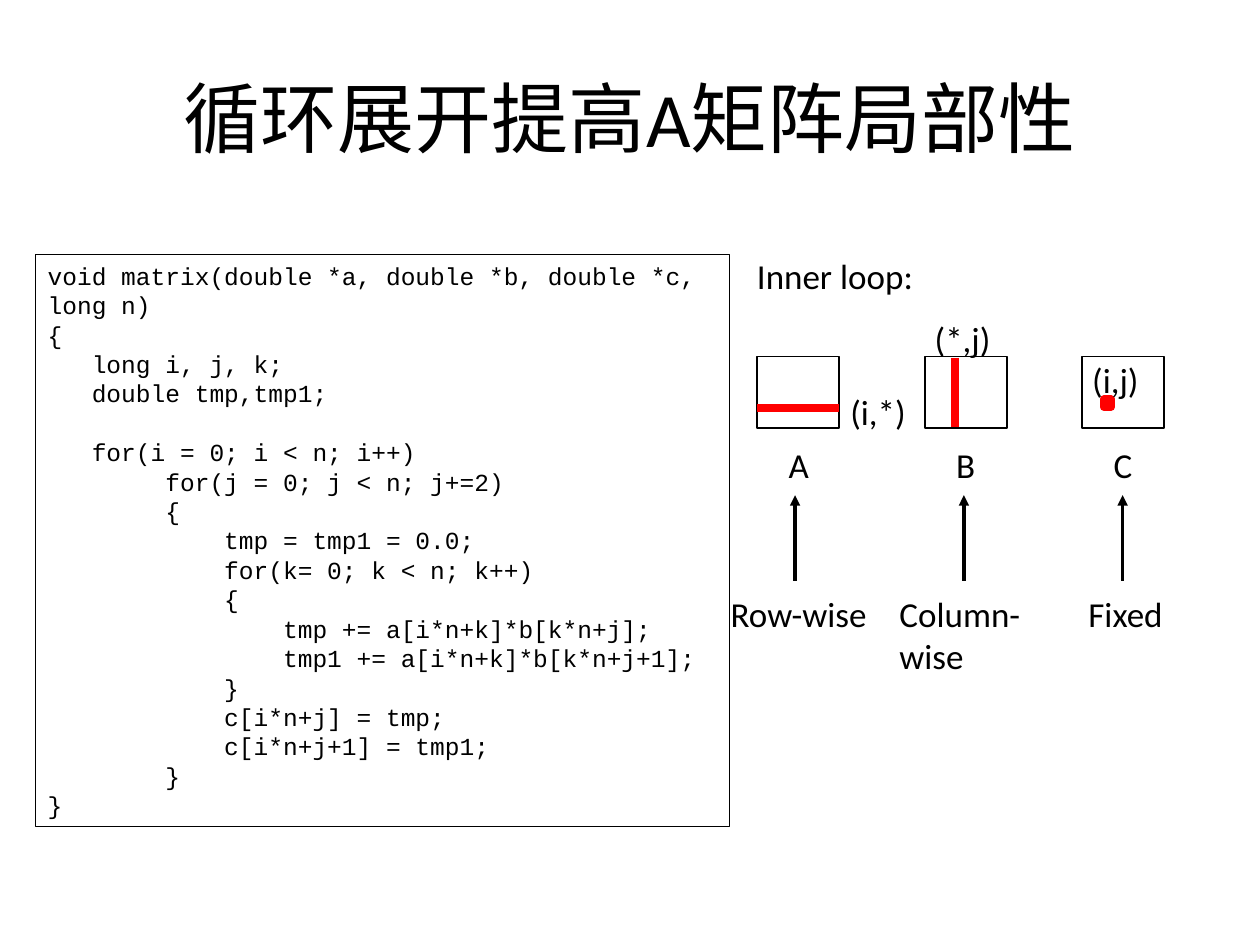
from dataclasses import dataclass

from lxml.etree import SubElement
from pptx import Presentation
from pptx.dml.color import RGBColor
from pptx.enum.shapes import MSO_CONNECTOR, MSO_SHAPE
from pptx.enum.text import MSO_ANCHOR, MSO_AUTO_SIZE, PP_ALIGN
from pptx.oxml.ns import qn
from pptx.util import Inches, Pt


@dataclass(frozen=True)
class Theme:
    black: RGBColor = RGBColor(0, 0, 0)
    white: RGBColor = RGBColor(255, 255, 255)
    red: RGBColor = RGBColor(255, 0, 0)
    body_font: str = "Calibri"
    code_font: str = "Courier New"
    title_size: int = 44
    label_size: int = 20
    code_size: int = 14


CODE = """\
void matrix(double *a, double *b, double *c, long n)
{
   long i, j, k;
   double tmp,tmp1;

   for(i = 0; i < n; i++)
        for(j = 0; j < n; j+=2)
        {
            tmp = tmp1 = 0.0;
            for(k= 0; k < n; k++)
            {
                tmp += a[i*n+k]*b[k*n+j];
                tmp1 += a[i*n+k]*b[k*n+j+1];
            }
            c[i*n+j] = tmp;
            c[i*n+j+1] = tmp1;
        }
}"""


def write_text(frame, text, *, font, size, color, align=PP_ALIGN.LEFT,
               anchor=MSO_ANCHOR.TOP, wrap=False, fit=MSO_AUTO_SIZE.SHAPE_TO_FIT_TEXT):
    """Fill a text frame, one paragraph for each line of text."""
    frame.word_wrap = wrap
    frame.auto_size = fit
    frame.vertical_anchor = anchor
    for index, line in enumerate(text.split("\n")):
        para = frame.paragraphs[0] if index == 0 else frame.add_paragraph()
        para.alignment = align
        para.font.name = font
        para.font.size = Pt(size)
        para.font.color.rgb = color
        if line:
            span = para.add_run()
            span.text = line
            span.font.name = font
            span.font.size = Pt(size)
            span.font.color.rgb = color


class SlideBuilder:
    def __init__(self, slide, theme):
        self.shapes = slide.shapes
        self.theme = theme

    def title(self, text, left, top, width, height):
        box = self.shapes.add_textbox(*map(Inches, (left, top, width, height)))
        write_text(box.text_frame, text, font=self.theme.body_font,
                   size=self.theme.title_size, color=self.theme.black,
                   align=PP_ALIGN.CENTER, anchor=MSO_ANCHOR.MIDDLE,
                   wrap=True, fit=MSO_AUTO_SIZE.NONE)

    def label(self, text, left, top, width, height=0.43, wrap=False):
        box = self.shapes.add_textbox(*map(Inches, (left, top, width, height)))
        write_text(box.text_frame, text, font=self.theme.body_font,
                   size=self.theme.label_size, color=self.theme.black, wrap=wrap)

    def rectangle(self, left, top, width, height, fill, line, weight):
        shape = self.shapes.add_shape(MSO_SHAPE.RECTANGLE,
                                      *map(Inches, (left, top, width, height)))
        shape.shadow.inherit = False
        if fill is None:
            shape.fill.background()
        else:
            shape.fill.solid()
            shape.fill.fore_color.rgb = fill
        shape.line.color.rgb = line
        shape.line.width = Pt(weight)
        return shape

    def code(self, text, left, top, width, height):
        box = self.rectangle(left, top, width, height, None, self.theme.black, 0.75)
        write_text(box.text_frame, text, font=self.theme.code_font,
                   size=self.theme.code_size, color=self.theme.black, wrap=True)

    def line(self, x1, y1, x2, y2, color, weight, arrow=False):
        line = self.shapes.add_connector(MSO_CONNECTOR.STRAIGHT,
                                         *map(Inches, (x1, y1, x2, y2)))
        line.line.color.rgb = color
        line.line.width = Pt(weight)
        if arrow:
            SubElement(line.line._get_or_add_ln(), qn("a:tailEnd"), type="triangle")
        SubElement(line._element.spPr, qn("a:effectLst"))


def main():
    deck = Presentation()
    deck.slide_width, deck.slide_height = Inches(10), Inches(7.5)
    page = deck.slides.add_slide(deck.slide_layouts[6])
    theme = Theme()
    builder = SlideBuilder(page, theme)

    builder.title("循环展开提高A矩阵局部性", 0.5, 0.3, 9, 1.25)

    # Matrices with their names and access arrows
    matrix_top, matrix_width, matrix_height = 2.83, 0.65, 0.57
    for name, left, arrow_x in (("A", 6.01, 6.31), ("B", 7.34, 7.65), ("C", 8.59, 8.91)):
        builder.rectangle(left, matrix_top, matrix_width, matrix_height,
                          theme.white, theme.black, 1)
        builder.label(name, left + 0.15, 3.47, 0.35)
        builder.line(arrow_x, 4.61, arrow_x, 3.93, theme.black, 2, arrow=True)

    # Parts of each matrix read by the inner loop
    builder.line(7.58, 2.84, 7.58, 3.39, theme.red, 4.5)
    builder.line(6.01, 3.24, 6.01 + matrix_width, 3.24, theme.red, 4.5)
    builder.rectangle(8.76, 3.17, 0.06, 0.06, theme.red, theme.red, 4.5)

    # Index labels and heading
    builder.label("(i,*)", 6.65, 3.05, 0.64)
    builder.label("(*,j)", 7.32, 2.47, 0.64)
    builder.label("(i,j)", 8.57, 2.8, 0.57)
    builder.label("Inner loop:", 5.91, 1.97, 1.44)

    # Access patterns
    builder.label("Row-wise", 5.7, 4.65, 1.29)
    builder.label("Column-\nwise", 7.04, 4.65, 1.5, 0.76, wrap=True)
    builder.label("Fixed", 8.54, 4.65, 0.8)

    # Source code
    builder.code(CODE, 0.28, 2.02, 5.51, 4.54)

    deck.save("out.pptx")


if __name__ == "__main__":
    main()
